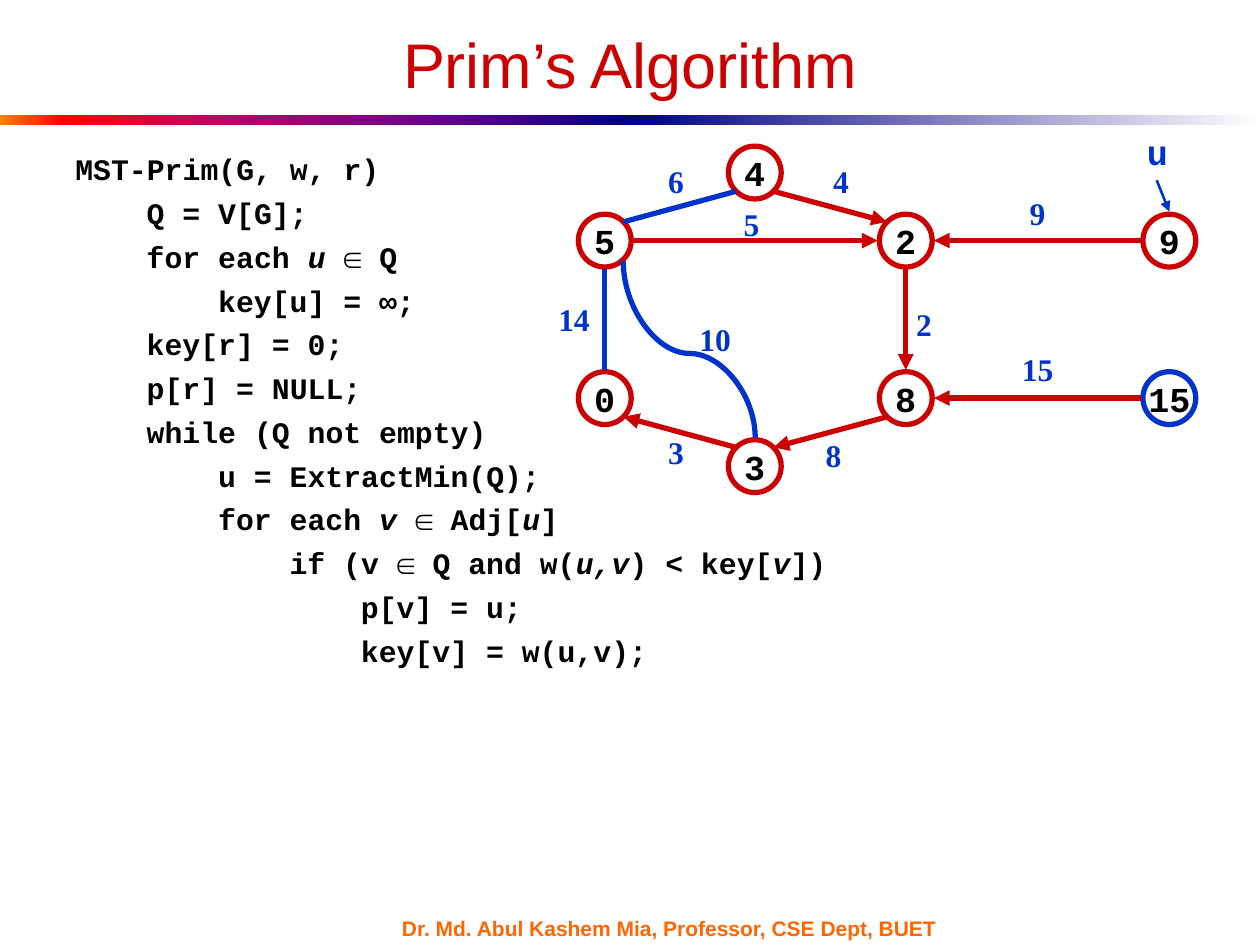
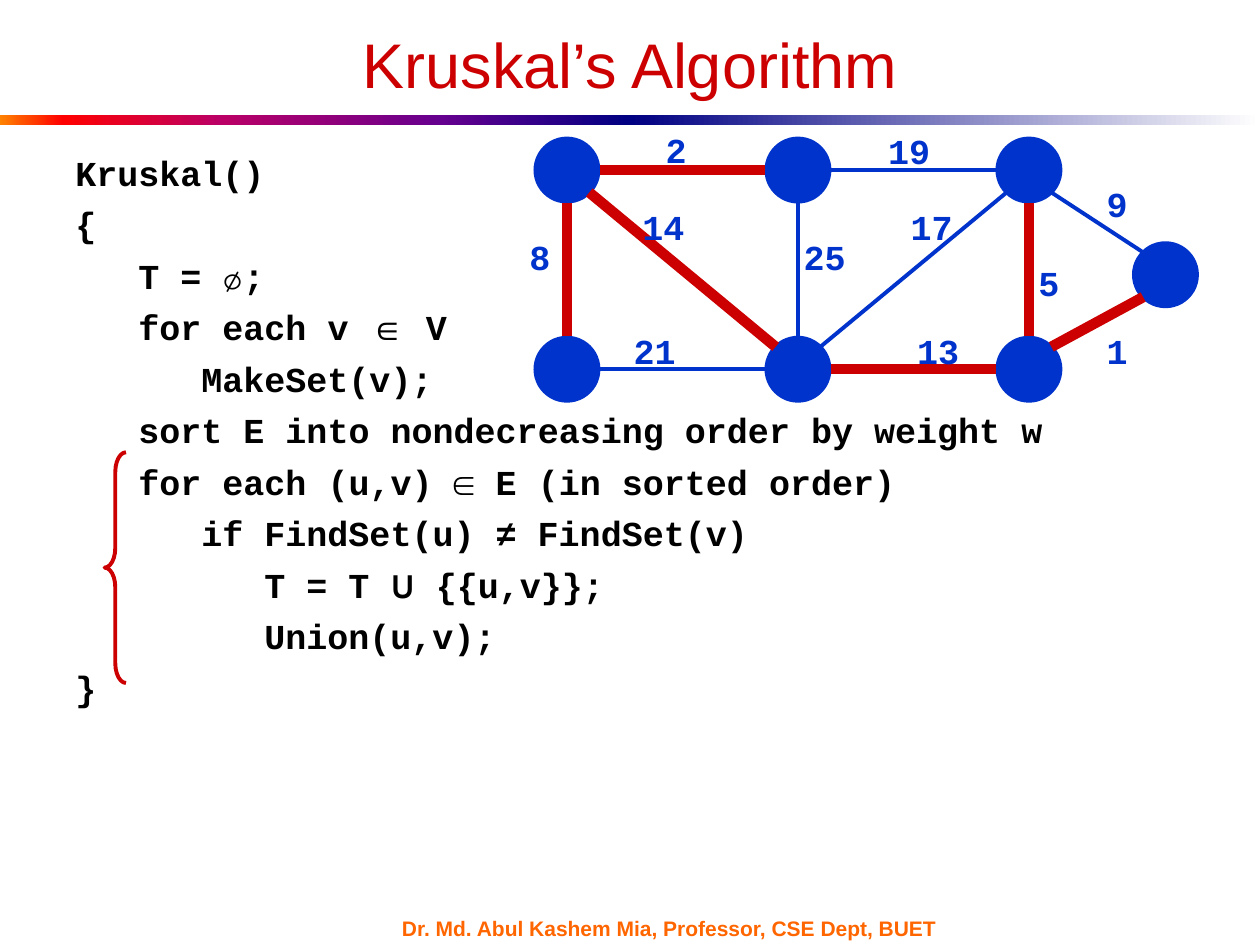
from lxml import etree
from pptx import Presentation
from pptx.dml.color import RGBColor
from pptx.enum.shapes import MSO_CONNECTOR, MSO_SHAPE
from pptx.enum.text import MSO_ANCHOR, PP_ALIGN
from pptx.oxml.ns import qn
from pptx.util import Pt

RED = RGBColor(0xCC, 0x00, 0x00)
BLUE = RGBColor(0x00, 0x33, 0xCC)
BLACK = RGBColor(0x00, 0x00, 0x00)
ORANGE = RGBColor(0xFF, 0x66, 0x00)
FIRE = RGBColor(0xFF, 0x82, 0x00)
FLAME = RGBColor(0xFF, 0x00, 0x00)
WINE = RGBColor(0xBA, 0x00, 0x66)
PLUM = RGBColor(0x66, 0x00, 0x8F)
NAVY = RGBColor(0x00, 0x00, 0x82)
WHITE = RGBColor(0xFF, 0xFF, 0xFF)
WARM = [(0, FIRE), (10, FLAME), (35, WINE), (70, PLUM), (100, NAVY)]
COOL = [(0, NAVY), (100, WHITE)]
SANS, MONO, SERIF, ROUND = "Arial", "Courier New", "Times New Roman", "Karla"
LEFT, MID = PP_ALIGN.LEFT, PP_ALIGN.CENTER
TOP, CORE = MSO_ANCHOR.TOP, MSO_ANCHOR.MIDDLE
OVAL, RECT, BRACE = MSO_SHAPE.OVAL, MSO_SHAPE.RECTANGLE, MSO_SHAPE.LEFT_BRACE
LINE, CURVE = MSO_CONNECTOR.STRAIGHT, MSO_CONNECTOR.CURVE
WIDE, HIGH = 720, 540
CODE = (36, 82.8, 648, 342)

PRIM = [
    (0, "MST-Prim(G, w, r)"),
    (1, "Q = V[G];"),
    (1, "for each ", ("u ", MONO, True, True), "∈ Q"),
    (2, "key[u] = ∞;"),
    (1, "key[r] = 0;"),
    (1, "p[r] = NULL;"),
    (1, "while (Q not empty)"),
    (2, "u = ExtractMin(Q);"),
    (2, "for each ", ("v ", MONO, True, True), "∈ Adj[", ("u", MONO, True, True), "]"),
    (3, "if (v ∈ Q and w(", ("u,v", MONO, True, True), ") < key[",
     ("v", MONO, True, True), "])"),
    (4, "p[v] = u;"),
    (4, "key[v] = w(u,v);"),
]
KRUSKAL = [
    (0, "Kruskal()"),
    (0, "{"),
    (1, "T = ∅;"),
    (1, "for each v ", ("∈", SERIF, False, False), " V"),
    (2, "MakeSet(v);"),
    (1, "sort E into nondecreasing order by weight w"),
    (1, "for each (u,v) ∈ E (in sorted order)"),
    (2, "if FindSet(u) ≠ FindSet(v)"),
    (3, "T = T ", ("U", ROUND, True, False), " {{u,v}};"),
    (3, "Union(u,v);"),
    (0, "}"),
]


def put(para, text, font, size, color, bold=False, slant=False):
    """Add one styled run to a paragraph."""
    run = para.add_run()
    run.text = text
    face = run.font
    face.name, face.size, face.bold, face.italic = font, Pt(size), bold, slant
    face.color.rgb = color


def frame(slide, box, anchor=TOP, wrap=True):
    """Add an empty text box and return its text frame."""
    text = slide.shapes.add_textbox(*map(Pt, box)).text_frame
    text.word_wrap, text.vertical_anchor = wrap, anchor
    return text


def block(slide, kind, box, fill=None, line=None, width=3):
    """Add a flat preset shape."""
    shape = slide.shapes.add_shape(kind, *map(Pt, box))
    shape.shadow.inherit = False
    if fill is None:
        shape.fill.background()
    else:
        shape.fill.solid()
        shape.fill.fore_color.rgb = fill
    if line is None:
        shape.line.fill.background()
    else:
        shape.line.color.rgb, shape.line.width = line, Pt(width)
    return shape


def blend(slide, box, stops):
    """Add a band with a gradient from left to right."""
    shape = block(slide, RECT, box)
    shape.fill.gradient()
    shape.fill.gradient_angle = 0
    marks = shape._element.spPr.find(qn("a:gradFill")).find(qn("a:gsLst"))
    for mark in list(marks):
        marks.remove(mark)
    for place, color in stops:
        mark = etree.SubElement(marks, qn("a:gs"), pos=str(place * 1000))
        etree.SubElement(mark, qn("a:srgbClr"), val=str(color))


def link(slide, start, end, color, width, arrow=False, kind=LINE):
    """Add a connector, with an arrowhead at its end if asked."""
    wire = slide.shapes.add_connector(kind, *map(Pt, (*start, *end)))
    wire.line.color.rgb, wire.line.width = color, Pt(width)
    if arrow:
        etree.SubElement(wire.line._get_or_add_ln(), qn("a:tailEnd"), type="triangle")
    etree.SubElement(wire._element.spPr, qn("a:effectLst"))
    return wire


def bend(slide, box, color, width):
    """Add an S curve that runs up and to the left."""
    left, top, wide, high = box
    wire = link(slide, (left + wide, top), (left, top + high), color, width, kind=CURVE)
    wire._element.spPr.xfrm.set("rot", "5400000")
    shape = wire._element.spPr.find(qn("a:prstGeom"))
    etree.SubElement(shape.get_or_add_avLst(), qn("a:gd"), name="adj1", fmla="val 47800")


def edge(slide, one, two, reach, color, width, arrow=False):
    """Join two nodes at the compass points that face each other."""
    signs = [(b > a) - (b < a) for a, b in zip(one, two)]
    gap = reach * 0.71 if all(signs) else reach + 1
    start = [a + s * gap for a, s in zip(one, signs)]
    end = [b - s * gap for b, s in zip(two, signs)]
    link(slide, start, end, color, width, arrow)


def label(slide, spot, text, font, size, ratio):
    """Centre a weight on a spot."""
    wide, high = 14.4 + len(text) * size * ratio, size + 11
    box = (spot[0] - wide / 2, spot[1] - high / 2, wide, high)
    para = frame(slide, box, wrap=False).paragraphs[0]
    para.alignment = MID
    put(para, text, font, size, BLUE, True)


def base(deck, title):
    """Add a slide with title, band and footer."""
    slide = deck.slides.add_slide(deck.slide_layouts[6])
    half = WIDE / 2
    blend(slide, (0, 65.6, half, 6), WARM)
    blend(slide, (half, 65.6, half, 6), COOL)
    foot = frame(slide, (222.6, 524, 336, 13.2), CORE).paragraphs[0]
    foot.alignment = LEFT
    put(foot, "Dr. Md. Abul Kashem Mia, Professor, CSE Dept, BUET", SANS, 12, ORANGE, True)
    head = frame(slide, (36, 18, 648, 36.8), CORE).paragraphs[0]
    head.alignment = MID
    put(head, title, SANS, 36, RED)
    return slide


def code(slide, box, lines, size, step):
    """Write code lines, each indented by its depth."""
    text = frame(slide, box)
    for i, (depth, *runs) in enumerate(lines):
        para = text.paragraphs[0] if i == 0 else text.add_paragraph()
        para.space_before = Pt(round(size * 0.27, 2))
        para._p.get_or_add_pPr().set("marL", str(Pt(depth * step * size * 0.6)))
        for run in runs:
            part, font, bold, slant = (run, MONO, True, False) if isinstance(run, str) else run
            put(para, part, font, size, BLACK, bold, slant)


def tree(slide, left, top):
    """Draw the directed graph of parents and keys."""
    reach = 15.1
    cols = [left + x for x in (15, 100.7, 187, 337.6)]
    rows = [top + y for y in (15.1, 54, 144, 182.9)]
    grid = {"5": (0, 1), "2": (2, 1), "9": (3, 1), "0": (0, 2),
            "8": (2, 2), "15": (3, 2), "3": (1, 3), "4": (1, 0)}
    nodes = {key: (cols[x], rows[y]) for key, (x, y) in grid.items()}
    for key, (x, y) in nodes.items():
        ring = BLUE if key == "15" else RED
        disc = block(slide, OVAL, (x - reach, y - reach, 2 * reach, 2 * reach), line=ring)
        text = disc.text_frame
        text.word_wrap, text.vertical_anchor = False, CORE
        text.paragraphs[0].alignment = MID
        put(text.paragraphs[0], key, MONO, 20, BLACK, True)
    for one, two in [("4", "2"), ("5", "2"), ("3", "0"), ("8", "3"),
                     ("2", "8"), ("9", "2"), ("15", "8")]:
        edge(slide, nodes[one], nodes[two], reach, RED, 3, True)
    for one, two in [("4", "5"), ("0", "5")]:
        edge(slide, nodes[one], nodes[two], reach, BLUE, 3)
    bend(slide, (left + 12.9, top + 78.5, 100.8, 75.4), BLUE, 3)
    for text, x, y in [("14", -2.6, 98.7), ("10", 78, 110.2), ("3", 55.7, 175),
                       ("6", 55.7, 20.2), ("4", 150, 20.2), ("5", 98.9, 44.7),
                       ("2", 197.5, 101.5), ("9", 262.3, 38.2),
                       ("15", 262.3, 127.5), ("8", 145.7, 176.4)]:
        label(slide, (left + x, top + y), text, SERIF, 18, 0.5)
    label(slide, (left + 330.7, top + 3.3), "u", MONO, 20, 0.6)
    link(slide, (left + 330.4, top + 19.5), (left + 337.6, top + 37.5), BLUE, 1.5, True)


def graph(slide, left, top):
    """Draw the weighted graph with its spanning tree."""
    reach = 18
    spots = {"A": (18, 18), "B": (150, 18), "C": (282, 18), "D": (282, 131.8),
             "E": (360, 77.8), "F": (150, 131.8), "G": (18, 131.8)}
    nodes = {key: (left + x, top + y) for key, (x, y) in spots.items()}
    for x, y in nodes.values():
        block(slide, OVAL, (x - reach, y - reach, 2 * reach, 2 * reach), BLUE, BLUE, 2.25)
    for pairs, color, width in [(("BC", "CF", "FG", "FB", "CE"), BLUE, 2.25),
                                (("AB", "GA", "AF", "FD", "DC", "DE"), RED, 6)]:
        for one, two in pairs:
            edge(slide, nodes[one], nodes[two], reach, color, width)
    for text, x, y in [("2", 80.3, 6.1), ("19", 213.5, 6.8), ("9", 332.3, 37.1),
                       ("1", 332.3, 121.3), ("5", 293.4, 82.4), ("13", 230, 121.3),
                       ("17", 226.4, 50), ("25", 165.2, 67.3), ("14", 73, 50),
                       ("8", 2.5, 67.3), ("21", 68, 121.3)]:
        label(slide, (left + x, top + y), text, MONO, 20, 0.6)


def main():
    """Build both slides and save the deck."""
    deck = Presentation()
    deck.slide_width, deck.slide_height = Pt(WIDE), Pt(HIGH)
    slide = base(deck, "Prim’s Algorithm")
    code(slide, CODE, PRIM, 17, 4)
    tree(slide, 330.6, 83.5)
    slide = base(deck, "Kruskal’s Algorithm")
    graph(slide, 306, 79.2)
    brace = block(slide, BRACE, (59.8, 258.5, 12.2, 131.8), line=RED, width=2.25)
    brace.adjustments[0] = 0.92
    code(slide, CODE, KRUSKAL, 20, 3)
    deck.save("out.pptx")


if __name__ == "__main__":
    main()
